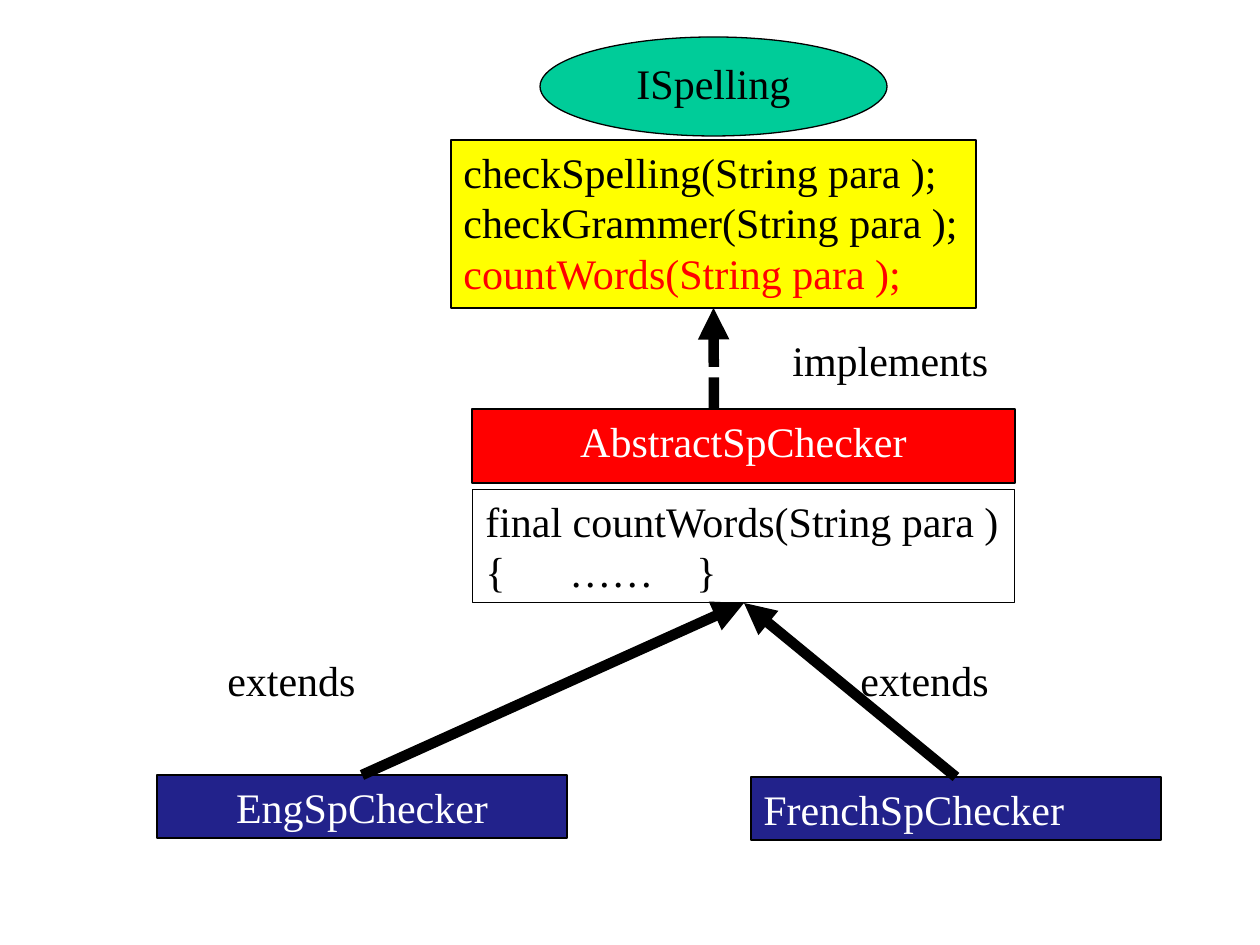
from lxml import etree
from pptx import Presentation
from pptx import util as u
from pptx.dml.color import RGBColor
from pptx.enum import dml, shapes, text
from pptx.oxml import ns

PX = 914400 / 126
BLACK = RGBColor(0x00, 0x00, 0x00)
WHITE = RGBColor(0xFF, 0xFF, 0xFF)
RED = RGBColor(0xFF, 0x00, 0x00)
YELLOW = RGBColor(0xFF, 0xFF, 0x00)
GREEN = RGBColor(0x00, 0xCC, 0x99)
NAVY = RGBColor(0x22, 0x22, 0x8B)
LEFT, CENTER = text.PP_ALIGN.LEFT, text.PP_ALIGN.CENTER
OVAL, RECT = shapes.MSO_SHAPE.OVAL, shapes.MSO_SHAPE.RECTANGLE
TOP, BOTTOM = 0, 2


def px(*lengths):
    return [round(length * PX) for length in lengths]


def write(frame, lines, align, wrap):
    frame_format = {"word_wrap": wrap, "vertical_anchor": text.MSO_ANCHOR.TOP}
    for key, value in frame_format.items():
        setattr(frame, key, value)
    for i, (words, color) in enumerate(lines):
        para = frame.paragraphs[0] if i == 0 else frame.add_paragraph()
        para.alignment = align
        run = para.add_run()
        run.text = words
        run.font.color.rgb = color
        for key, value in {"name": "Times New Roman", "size": u.Pt(24)}.items():
            setattr(run.font, key, value)


prs = Presentation()
prs.slide_width, prs.slide_height = px(1260, 945)
slide = prs.slides.add_slide(prs.slide_layouts[6])

# Interface, abstract class and subclasses
boxes = {
    "interface": (OVAL, (540, 37, 347, 99), GREEN, 0.75, CENTER, True,
                  [("ISpelling", BLACK)]),
    "methods": (RECT, (451, 140, 525, 168), YELLOW, 0.75, LEFT, True,
                [("checkSpelling(String para );", BLACK),
                 ("checkGrammer(String para );", BLACK),
                 ("countWords(String para );", RED)]),
    "abstract": (RECT, (472, 409, 543, 74), RED, 0.75, CENTER, True,
                 [("AbstractSpChecker", WHITE)]),
    "final": (RECT, (473, 489, 542, 114), None, 0.5, LEFT, False,
              [("final countWords(String para )", BLACK),
               ("{\t……\t}", BLACK)]),
    "english": (RECT, (157, 775, 410, 63), NAVY, 0.75, CENTER, True,
                [("EngSpChecker", WHITE)]),
    "french": (RECT, (751, 777, 410, 63), NAVY, 0.75, LEFT, True,
               [("FrenchSpChecker", WHITE)]),
}
drawn = {}
for part, (kind, place, fill, width, align, wrap, lines) in boxes.items():
    box = drawn[part] = slide.shapes.add_shape(kind, *px(*place))
    box.shadow.inherit = False
    if fill is None:
        box.fill.background()
    else:
        box.fill.solid()
        box.fill.fore_color.rgb = fill
    box.line.color.rgb = BLACK
    box.line.width = u.Pt(width)
    write(box.text_frame, lines, align, wrap)

# Tab stops that space out the method body
body = drawn["final"].text_frame.paragraphs[1]
stops = etree.SubElement(body._p.get_or_add_pPr(), ns.qn("a:tabLst"))
for position in px(84, 211):
    etree.SubElement(stops, ns.qn("a:tab"), pos=str(position), algn="l")

# Inheritance arrows: start point, joined child, joined parent, dash
arrows = [
    ((362, 775), "english", "final", None),
    ((956, 777), "french", "final", None),
    ((714, 409), None, "methods", dml.MSO_LINE.SQUARE_DOT),
]
for start, child, parent, dash in arrows:
    arrow = slide.shapes.add_connector(
        shapes.MSO_CONNECTOR.STRAIGHT, *px(*start, *start))
    if child:
        arrow.begin_connect(drawn[child], TOP)
    arrow.end_connect(drawn[parent], BOTTOM)
    arrow.line.color.rgb = BLACK
    arrow.line.width = u.Pt(6)
    if dash:
        arrow.line.dash_style = dash
        arrow.line._ln.find(ns.qn("a:prstDash")).set("val", "sysDash")
    etree.SubElement(arrow.line._ln, ns.qn("a:tailEnd"), type="triangle")
    etree.SubElement(arrow._element.spPr, ns.qn("a:effectLst"))

# Relationship labels
labels = [
    ("implements", (780, 328, 221, 63)),
    ("extends", (848, 648, 154, 63)),
    ("extends", (215, 648, 154, 63)),
]
for words, place in labels:
    label = slide.shapes.add_textbox(*px(*place))
    write(label.text_frame, [(words, BLACK)], LEFT, False)

prs.save("out.pptx")
